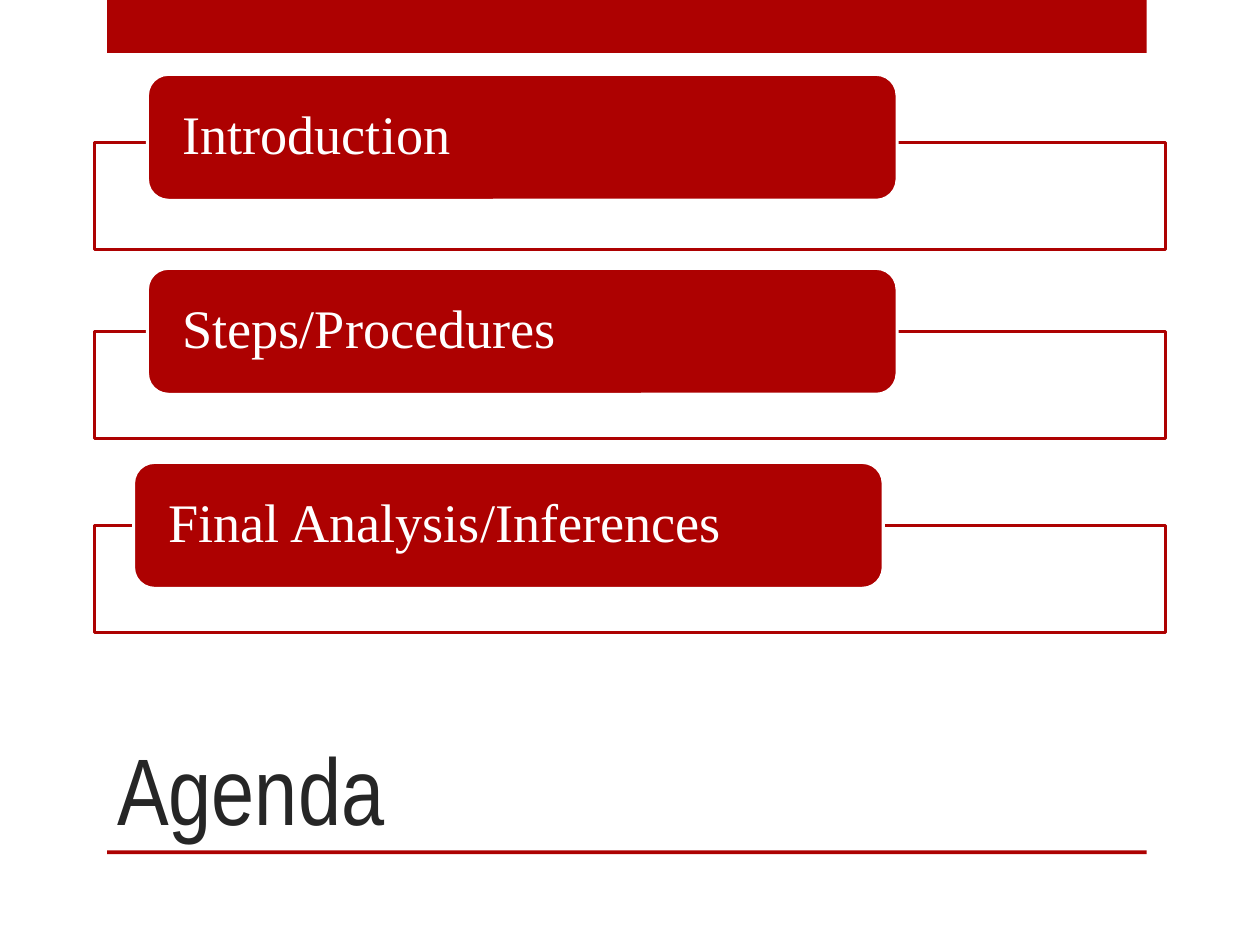
import pptx
import pptx.util
import pptx.dml.color
import pptx.enum.shapes
import pptx.enum.text
from lxml import etree

Inches = pptx.util.Inches
Pt = pptx.util.Pt
RGBColor = pptx.dml.color.RGBColor
MSO_SHAPE = pptx.enum.shapes.MSO_SHAPE
MSO_ANCHOR = pptx.enum.text.MSO_ANCHOR
PP_ALIGN = pptx.enum.text.PP_ALIGN

RED = RGBColor(0xAD, 0x01, 0x01)
WHITE = RGBColor(0xFF, 0xFF, 0xFF)
DARK = RGBColor(0x26, 0x26, 0x26)


def put_text(sp, text, font, size, color, anchor, inset=(0.1, 0.05), spacing=1.0):
    tf = sp.text_frame
    tf.word_wrap = True
    tf.auto_size = pptx.enum.text.MSO_AUTO_SIZE.NONE
    tf.vertical_anchor = anchor
    tf.margin_left = tf.margin_right = Inches(inset[0])
    tf.margin_top = tf.margin_bottom = Inches(inset[1])
    p = tf.paragraphs[0]
    p.alignment = PP_ALIGN.LEFT
    p.line_spacing = spacing
    r = p.add_run()
    r.text = text
    r.font.name = font
    r.font.size = Pt(size)
    r.font.color.rgb = color


class AgendaSlide:
    """Holds the agenda style and the slide it is drawn on."""

    heading_font = "Arial Narrow"
    body_font = "Times New Roman"
    line_width = 1.75

    def __init__(self, prs):
        self.s = prs.slides.add_slide(prs.slide_layouts[5])

    def shape(self, kind, left, top, width, height, fill, line=None):
        sp = self.s.shapes.add_shape(
            kind, Inches(left), Inches(top), Inches(width), Inches(height))
        sp.shadow.inherit = False
        sp.fill.solid()
        sp.fill.fore_color.rgb = fill
        if line is None:
            sp.line.fill.background()
        else:
            sp.line.color.rgb = line
            sp.line.width = Pt(self.line_width)
        return sp

    def bar(self, top, height):
        self.shape(MSO_SHAPE.RECTANGLE, 0.85, top, 8.25, height, RED)

    def title(self, text):
        sp = self.s.shapes.title
        sp.left, sp.top = Inches(0.83), Inches(5)
        sp.width, sp.height = Inches(7.42), Inches(1.75)
        put_text(sp, text, self.heading_font, 54, DARK, MSO_ANCHOR.BOTTOM)

    def frame(self, top):
        sp = self.shape(MSO_SHAPE.RECTANGLE, 0.75, top, 8.5, 0.85, WHITE, RED)
        color = sp.fill._xPr.find(".//" + pptx.oxml.ns.qn("a:srgbClr"))
        etree.SubElement(color, pptx.oxml.ns.qn("a:alpha"), val="90000")

    def label(self, text, left, top):
        sp = self.shape(MSO_SHAPE.ROUNDED_RECTANGLE, left, top, 5.95, 1, RED, WHITE)
        put_text(sp, text, self.body_font, 31, WHITE, MSO_ANCHOR.MIDDLE,
                 inset=(0.23, 0), spacing=0.9)


def main():
    prs = pptx.Presentation()
    prs.slide_width, prs.slide_height = Inches(10), Inches(7.5)
    agenda = AgendaSlide(prs)
    agenda.bar(0, 0.42)
    agenda.bar(6.75, 0.03)
    agenda.title("Agenda")
    items = [
        ("Introduction", 1.17, 0.59, 1.13),
        ("Steps/Procedures", 1.17, 2.13, 2.63),
        ("Final Analysis/Inferences", 1.06, 3.67, 4.17),
    ]
    for text, left, top, frame_top in items:
        agenda.frame(frame_top)
        agenda.label(text, left, top)
    prs.save("out.pptx")


if __name__ == "__main__":
    main()
